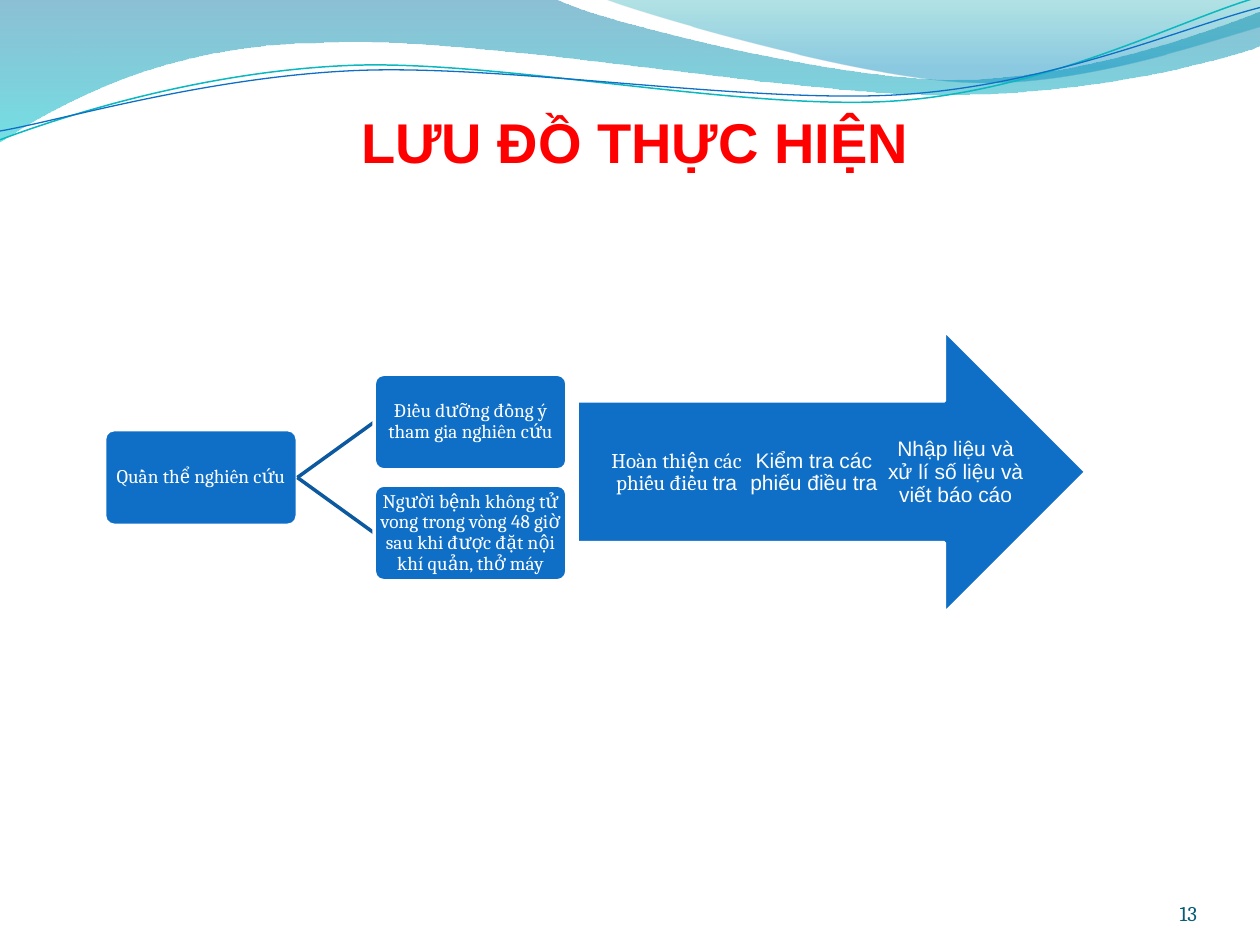
"""Builds the study flowchart slide with its wave header."""
import pptx
import pptx.dml.color
import pptx.enum.shapes
import pptx.enum.text
import pptx.oxml.ns
import pptx.util

Inches = pptx.util.Inches
Pt = pptx.util.Pt
RGBColor = pptx.dml.color.RGBColor
Anchor = pptx.enum.text.MSO_ANCHOR
Align = pptx.enum.text.PP_ALIGN
Shape = pptx.enum.shapes.MSO_SHAPE
qn = pptx.oxml.ns.qn

BLUE = RGBColor(0x0F, 0x6F, 0xC6)
DARK_BLUE = RGBColor(0x0C, 0x59, 0x9F)
TEAL = RGBColor(0x0A, 0xB8, 0xBF)
NUMBER_COLOR = RGBColor(0x04, 0x5D, 0x75)
RED = RGBColor(0xFF, 0x00, 0x00)
WHITE = RGBColor(0xFF, 0xFF, 0xFF)

TITLE = "LƯU ĐỒ THỰC HIỆN"
SLIDE_NUMBER = "13"
POPULATION = "Quần thể nghiên cứu"
GROUPS = [
    "Điều dưỡng đồng ý tham gia nghiên cứu",
    "Người bệnh không tử vong trong vòng 48 giờ sau khi được đặt nội khí quản, thở máy",
]
STEPS = [
    (4.83, 1.08, [("Hoàn thiện các phiếu điều ", "Cambria"), ("tra", "Arial")]),
    (5.92, 1.08, [("Kiểm tra các phiếu điều tra", "Arial")]),
    (7.01, 1.15, [("Nhập liệu và xử lí số liệu và viết báo cáo", "Arial")]),
]

WAVES = [
    ([(0, -0.01), (4.4, -0.01),
      (4.76, 0.17, 6.64, 0.63, 7.58, 0.63), (8.53, 0.63, 9.58, 0.26, 10, 0.09),
      (10.01, 0.36), (9.83, 0.44, 8.7, 0.76, 7.46, 0.75),
      (6.22, 0.75, 3.82, 0.28, 2.57, 0.34), (1.29, 0.35, 0.46, 0.83, -0.01, 1.13)],
     [(0, RGBColor(0x00, 0x74, 0xA1), 45), (1, RGBColor(0x00, 0xC6, 0xCF), 55)]),
    ([(4.79, -0.01), (5.09, 0.11, 6.82, 0.62, 7.69, 0.65),
      (8.56, 0.69, 9.61, 0.32, 10, 0.21), (10, 0)],
     [(0, RGBColor(0x00, 0xA1, 0xA9), 30), (0.8, RGBColor(0x00, 0x8B, 0xBF), 45)]),
]
RIBBONS = [
    ([(0, 1.11), (0.48, 0.93, 1.58, 0.57, 2.77, 0.52),
      (3.95, 0.47, 5.93, 0.89, 7.13, 0.8), (8.33, 0.71, 9.38, 0.15, 9.98, -0.02)],
     TEAL, 0.85),
    ([(0, 1.04), (0.47, 0.96, 1.64, 0.61, 2.83, 0.56),
      (4.03, 0.51, 5.97, 0.83, 7.17, 0.75), (8.36, 0.67, 9.41, 0.21, 10, 0.06)],
     BLUE, 0.75),
]
BOX_WIDTH, BOX_HEIGHT = 1.53, 0.76
POPULATION_LEFT, GROUP_LEFT = 0.83, 2.97
GROUP_TOP, GROUP_PITCH = 2.97, 0.88


def add_outline(slide, outline, close):
    corners = [(Inches(piece[-2]), Inches(piece[-1])) for piece in outline]
    builder = slide.shapes.build_freeform(*corners[0])
    builder.add_line_segments(corners[1:], close=close)
    drawn = builder.convert_to_shape()
    drawn.shadow.inherit = False
    segments = list(drawn.element.spPr.iter(qn("a:lnTo")))
    for segment, piece in zip(segments, outline[1:]):
        if len(piece) == 6:
            curve = segment.makeelement(qn("a:cubicBezTo"), {})
            for x, y in zip(piece[::2], piece[1::2]):
                curve.append(curve.makeelement(qn("a:pt"), {
                    "x": str(Inches(x) - drawn.left), "y": str(Inches(y) - drawn.top)}))
            segment.getparent().replace(segment, curve)
    return drawn


def add_wave(slide, outline, stops):
    wave = add_outline(slide, outline, True)
    wave.line.fill.background()
    wave.fill.gradient()
    wave.fill.gradient_angle = 270
    for stop, (position, color, _) in zip(wave.fill.gradient_stops, stops):
        stop.position = position
        stop.color.rgb = color
    for tint, (_, _, opacity) in zip(wave.element.spPr.iter(qn("a:srgbClr")), stops):
        tint.append(tint.makeelement(qn("a:alpha"), {"val": str(opacity * 1000)}))


def add_ribbon(slide, outline, color, width):
    ribbon = add_outline(slide, outline, False)
    ribbon.fill.background()
    ribbon.line.color.rgb = color
    ribbon.line.width = Pt(width)


def write(holder, runs, size, color, align=Align.CENTER, anchor=Anchor.MIDDLE,
          inset=0, spacing=0.9):
    frame = holder.text_frame
    frame.word_wrap = True
    frame.vertical_anchor = anchor
    frame.margin_left = frame.margin_right = Inches(inset)
    frame.margin_top = frame.margin_bottom = Inches(inset)
    paragraph = frame.paragraphs[0]
    paragraph.alignment = align
    paragraph.line_spacing = spacing
    paragraph.font.size = Pt(size)
    paragraph.font.color.rgb = color
    paragraph.font.name = runs[0][1]
    for text, font in runs:
        run = paragraph.add_run()
        run.text = text
        if font != runs[0][1]:
            run.font.name = font
    return paragraph


def add_block(slide, preset, left, top, width, height):
    block = slide.shapes.add_shape(
        preset, Inches(left), Inches(top), Inches(width), Inches(height))
    block.shadow.inherit = False
    block.fill.solid()
    block.fill.fore_color.rgb = BLUE
    block.line.color.rgb = WHITE
    block.line.width = Pt(2)
    return block


def add_box(slide, text, left, top):
    box = add_block(slide, Shape.ROUNDED_RECTANGLE, left, top, BOX_WIDTH, BOX_HEIGHT)
    box.adjustments[0] = 0.1
    write(box, [(text, "Cambria")], 11, WHITE, inset=0.01)


def add_branch(slide, start, end):
    branch = slide.shapes.add_connector(
        pptx.enum.shapes.MSO_CONNECTOR.STRAIGHT, *map(Inches, start + end))
    branch.line.color.rgb = DARK_BLUE
    branch.line.width = Pt(2)
    properties = branch.element.spPr
    properties.append(properties.makeelement(qn("a:effectLst"), {}))


def add_label(slide, left, top, width, height):
    return slide.shapes.add_textbox(
        Inches(left), Inches(top), Inches(width), Inches(height))


def main():
    deck = pptx.Presentation()
    deck.slide_width, deck.slide_height = Inches(10), Inches(7.5)
    slide = deck.slides.add_slide(deck.slide_layouts[5])

    for outline, stops in WAVES:
        add_wave(slide, outline, stops)
    for outline, color, width in RIBBONS:
        add_ribbon(slide, outline, color, width)

    title = slide.shapes.title
    title.left, title.top = Inches(0.75), Inches(0.8)
    title.width, title.height = Inches(8.58), Inches(0.64)
    write(title, [(TITLE, "Arial")], 32, RED, inset=0.05, spacing=1).font.bold = True
    number = add_label(slide, 8.67, 6.95, 0.83, 0.4)
    write(number, [(SLIDE_NUMBER, "Cambria")], 12, NUMBER_COLOR,
          align=Align.RIGHT, anchor=Anchor.BOTTOM, spacing=1)

    population_top = GROUP_TOP + GROUP_PITCH / 2
    fork = (POPULATION_LEFT + BOX_WIDTH, population_top + BOX_HEIGHT / 2)
    add_box(slide, POPULATION, POPULATION_LEFT, population_top)
    for index, group in enumerate(GROUPS):
        top = GROUP_TOP + index * GROUP_PITCH
        add_branch(slide, fork, (GROUP_LEFT, top + BOX_HEIGHT / 2))
        add_box(slide, group, GROUP_LEFT, top)

    add_block(slide, Shape.RIGHT_ARROW, 4.58, 2.62, 4.04, 2.25)
    for left, width, runs in STEPS:
        write(add_label(slide, left, 3.44, width, 0.62), runs, 12, WHITE)

    deck.save("out.pptx")


if __name__ == "__main__":
    main()
